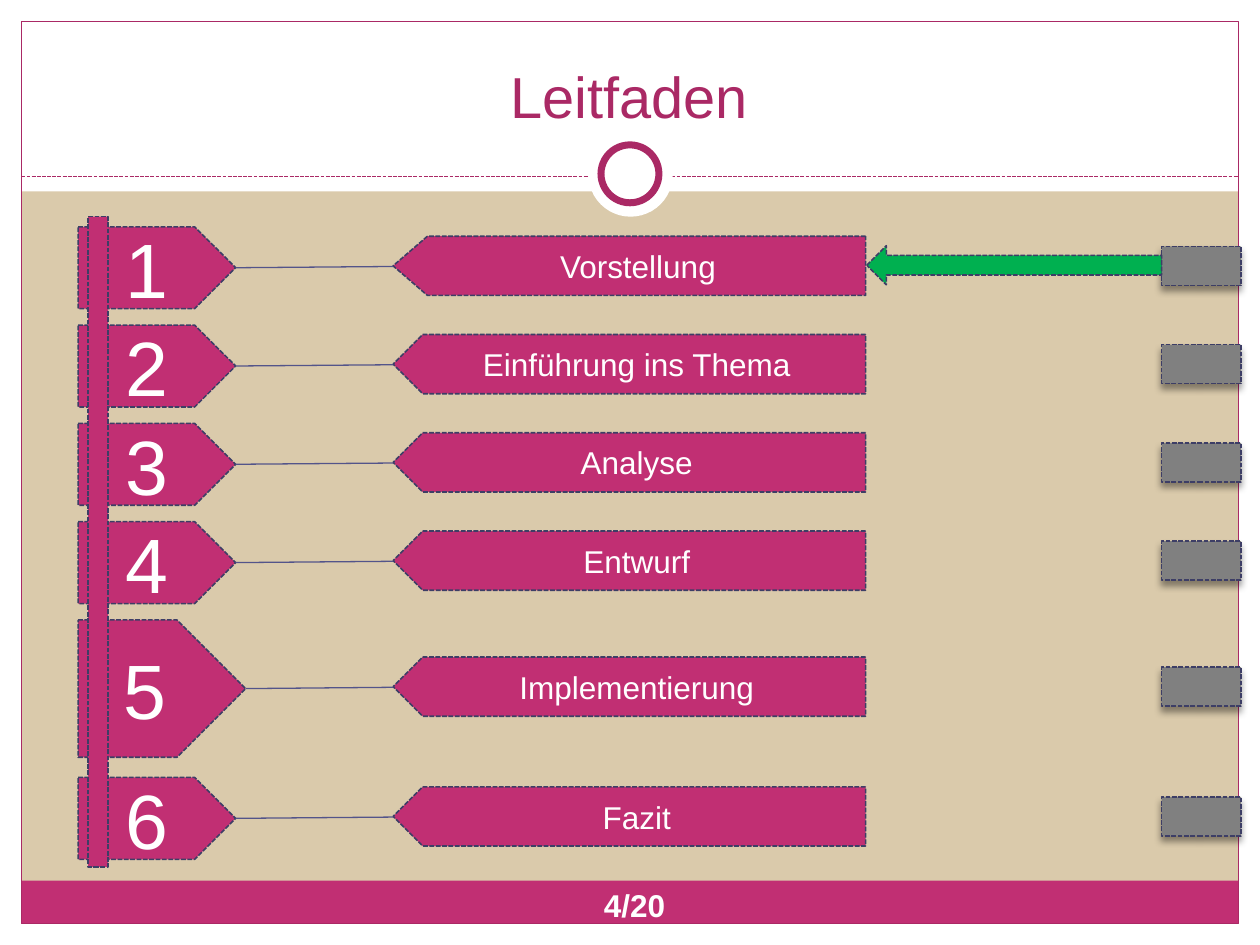
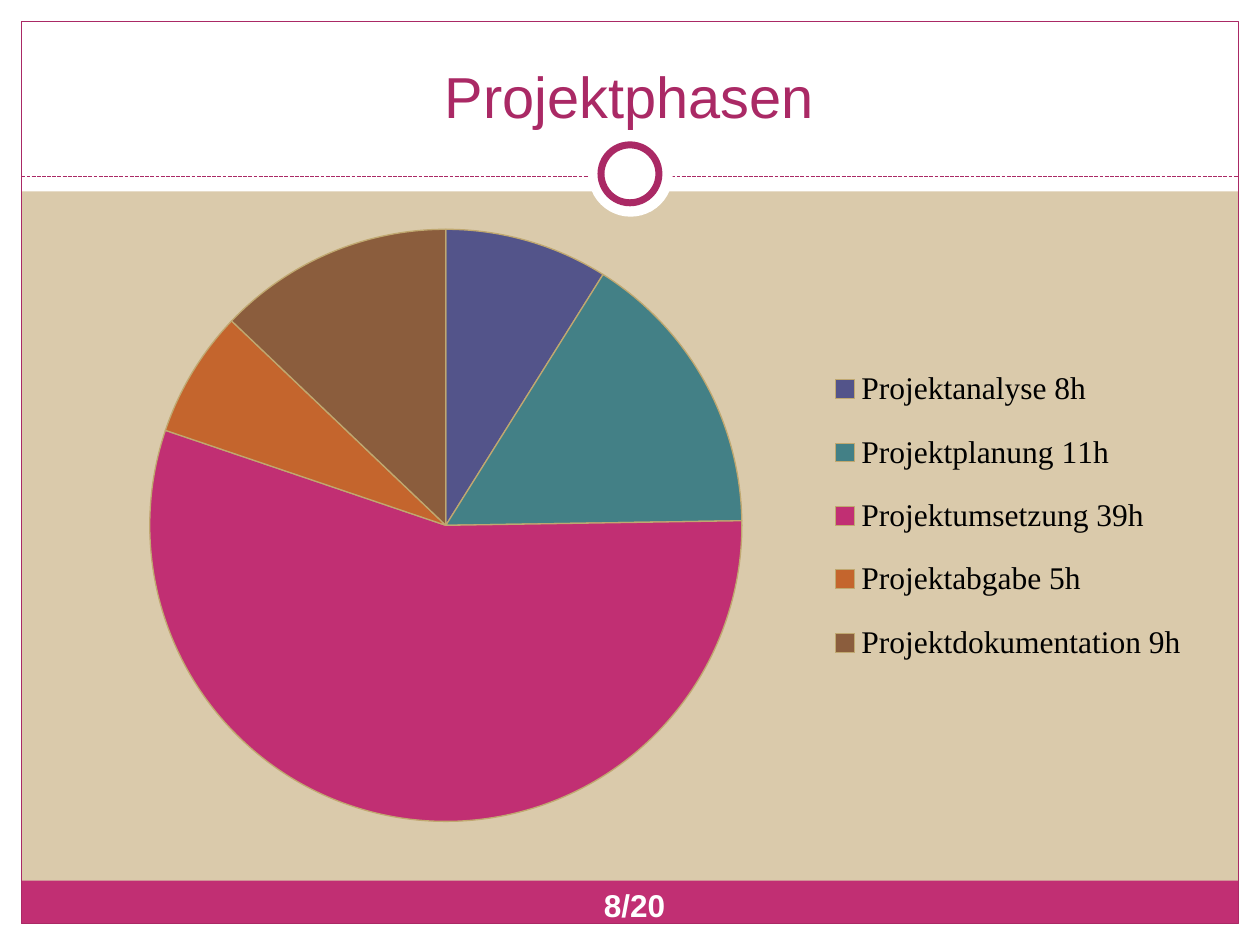
from dataclasses import dataclass

from lxml.etree import SubElement
from pptx import Presentation
from pptx.chart.data import CategoryChartData
from pptx.dml.color import RGBColor
from pptx.enum.chart import XL_CHART_TYPE, XL_LEGEND_POSITION
from pptx.enum.dml import MSO_LINE
from pptx.enum.shapes import MSO_CONNECTOR, MSO_SHAPE
from pptx.enum.text import MSO_ANCHOR, MSO_AUTO_SIZE, PP_ALIGN
from pptx.oxml import parse_xml
from pptx.oxml.ns import nsdecls, qn
from pptx.util import Inches, Pt


@dataclass(frozen=True)
class Theme:
    """Colours, fonts and type sizes of the deck."""
    sand: str = "DACAAB"
    white: str = "FFFFFF"
    pink: str = "C12F73"
    wine: str = "AA2965"
    navy: str = "3D3E66"
    blue: str = "53548A"
    green: str = "00B050"
    grey: str = "808080"
    black: str = "000000"
    rim: str = "C0A870"
    pie: tuple = ("53548A", "438086", "C12F73", "C4652D", "8B5D3D")
    sans: str = "Arial"
    serif: str = "Times New Roman"
    head: int = 33
    big: int = 44
    body: int = 18


THEME = Theme()
TOPICS = [
    ("Vorstellung", 1.8, 1.25, 0.65),
    ("Einführung ins Thema", 2.58, 1.25, 0.65),
    ("Analyse", 3.36, 1.25, 0.65),
    ("Entwurf", 4.14, 1.25, 0.65),
    ("Implementierung", 4.92, 1.33, 1.09),
    ("Fazit", 6.17, 1.25, 0.65),
]
PHASES = [
    ("Projektanalyse 8h", 9),
    ("Projektplanung 11h", 16),
    ("Projektumsetzung 39h", 56),
    ("Projektabgabe 5h", 7),
    ("Projektdokumentation 9h", 13),
]


def rgb(code):
    """Turn a hex code into a colour."""
    return RGBColor.from_string(code)


def inches(box):
    """Turn a box of numbers into lengths."""
    return [Inches(part) for part in box]


def set_line(line, color, width, dash=False):
    """Format an outline or a rule."""
    line.color.rgb = rgb(color)
    line.width = Pt(width)
    if dash:
        line.dash_style = MSO_LINE.SQUARE_DOT


def set_text(shape, text, size, color, bold=False):
    """Write one centred line of text."""
    frame = shape.text_frame
    frame.text = text
    line = frame.paragraphs[0]
    line.alignment = PP_ALIGN.CENTER
    font = line.runs[0].font
    font.name, font.size, font.bold = THEME.sans, Pt(size), bold
    font.color.rgb = rgb(color)
    return frame


def add_form(slide, kind, box, fill=None):
    """Add a plain preset shape without an outline."""
    form = slide.shapes.add_shape(kind, *inches(box))
    form.shadow.inherit = False
    form.line.fill.background()
    if fill:
        form.fill.solid()
        form.fill.fore_color.rgb = rgb(fill)
    else:
        form.fill.background()
    return form


def add_block(slide, kind, box, fill=THEME.pink):
    """Add a filled shape with the dashed outline."""
    block = add_form(slide, kind, box, fill)
    set_line(block.line, THEME.navy, 0.9, True)
    return block


def add_rule(slide, start, end, color, dash=False):
    """Add a thin straight line."""
    rule = slide.shapes.add_connector(MSO_CONNECTOR.STRAIGHT, *inches(start + end))
    set_line(rule.line, color, 0.75, dash)
    SubElement(rule.element.spPr, qn("a:effectLst"))


def add_plate(slide, box, text, size, flip=False):
    """Add a pointed label, which points left when flipped."""
    plate = add_block(slide, MSO_SHAPE.PENTAGON, box)
    if flip:
        plate.element.spPr.xfrm.set("flipH", "1")
    frame = set_text(plate, text, size, THEME.white)
    frame.vertical_anchor = MSO_ANCHOR.MIDDLE
    return plate


def add_tab(slide, box):
    """Add a grey tab with a soft shadow."""
    tab = add_block(slide, MSO_SHAPE.RECTANGLE, box, THEME.grey)
    glow = parse_xml(
        f'<a:outerShdw {nsdecls("a")} blurRad="{Pt(4)}" dist="{Pt(3)}" '
        f'dir="5400000" rotWithShape="0"><a:srgbClr val="{THEME.black}">'
        '<a:alpha val="40000"/></a:srgbClr></a:outerShdw>')
    tab.element.spPr.find(qn("a:effectLst")).append(glow)


def add_frame(slide):
    """Draw the margins, foot band, border and ring."""
    for box in ((0, 7.33, 10, 0.17), (0, 0, 10, 1.52),
                (0, 0, 0.17, 7.5), (9.83, 0, 0.17, 7.5)):
        add_form(slide, MSO_SHAPE.RECTANGLE, box, THEME.white)
    add_form(slide, MSO_SHAPE.RECTANGLE, (0.17, 6.99, 9.66, 0.34), THEME.pink)
    edge = add_form(slide, MSO_SHAPE.RECTANGLE, (0.17, 0.17, 9.66, 7.16))
    set_line(edge.line, THEME.wine, 0.75)
    add_rule(slide, (0.17, 1.4), (9.83, 1.4), THEME.wine, True)
    add_form(slide, MSO_SHAPE.OVAL, (4.67, 1.05, 0.67, 0.67), THEME.white)
    ring = add_form(slide, MSO_SHAPE.OVAL, (4.77, 1.15, 0.46, 0.46), THEME.white)
    set_line(ring.line, THEME.wine, 4)


def add_title(slide, text):
    """Place the title above the frame."""
    title = slide.shapes.title
    title.left, title.top, title.width, title.height = inches((0.33, 0.25, 9.33, 0.83))
    frame = set_text(title, text, THEME.head, THEME.wine)
    frame.auto_size = MSO_AUTO_SIZE.NONE
    frame.vertical_anchor = MSO_ANCHOR.BOTTOM
    slide.shapes.element.append(title.element)


def add_page(slide, text):
    """Write the page count on the foot band."""
    page = slide.shapes.add_textbox(*inches((4.69, 6.98, 0.69, 0.4)))
    frame = set_text(page, text, THEME.body, THEME.white, True)
    frame.word_wrap = False


def new_slide(deck, title, page):
    """Start a slide with all shared parts."""
    slide = deck.slides.add_slide(deck.slide_layouts[5])
    slide.background.fill.solid()
    slide.background.fill.fore_color.rgb = rgb(THEME.sand)
    add_frame(slide)
    add_title(slide, title)
    add_page(slide, page)
    return slide


def add_topic(slide, box, rank, name):
    """Draw one row: number, link, label and tab."""
    left, top, width, height = box
    mid = top + height / 2
    add_plate(slide, box, str(rank), THEME.big)
    label = add_plate(slide, (left + 2.5, mid - 0.25, 3.75, 0.47), name, THEME.body, True)
    if rank == 1:
        label.adjustments[0] = 0.58
    add_rule(slide, (left + width, mid), (left + 2.5, mid - 0.01), THEME.blue)
    add_tab(slide, (left + 8.6, mid - 0.17, 0.63, 0.31))


def add_guide(slide, left, top):
    """Draw the list of topics, its spine and the marker."""
    for rank, (name, row, width, height) in enumerate(TOPICS, 1):
        add_topic(slide, (left, row, width, height), rank, name)
    add_block(slide, MSO_SHAPE.RECTANGLE, (left + 0.08, top, 0.16, 5.16))
    add_block(slide, MSO_SHAPE.LEFT_ARROW, (left + 6.26, top + 0.23, 2.34, 0.31), THEME.green)


def set_layout(part, inner, box):
    """Fix a chart part at fractions of the chart area."""
    old = part.find(qn("c:layout"))
    if old is not None:
        part.remove(old)
    layout = parse_xml(f'<c:layout {nsdecls("c")}><c:manualLayout/></c:layout>')
    if inner:
        SubElement(layout[0], qn("c:layoutTarget")).set("val", "inner")
    for name in ("xMode", "yMode"):
        SubElement(layout[0], qn(f"c:{name}")).set("val", "edge")
    for name, size in zip("xywh", box):
        SubElement(layout[0], qn(f"c:{name}")).set("val", str(size))
    part.insert(0 if inner else 1, layout)


def add_pie(slide, box):
    """Add the pie of phases with its legend."""
    data = CategoryChartData()
    data.categories = [name for name, _ in PHASES]
    data.add_series("Series 1", [share for _, share in PHASES])
    chart = slide.shapes.add_chart(XL_CHART_TYPE.PIE, *inches(box), data).chart
    chart.has_title = False
    chart.font.name, chart.font.size = THEME.serif, Pt(THEME.body)
    chart.font.color.rgb = rgb(THEME.black)
    chart.has_legend = True
    chart.legend.position = XL_LEGEND_POSITION.RIGHT
    chart.legend.include_in_layout = False
    plot = chart.plots[0]
    plot.vary_by_categories = True
    for rank, color in enumerate(THEME.pie):
        look = plot.series[0].points[rank].format
        look.fill.solid()
        look.fill.fore_color.rgb = rgb(color)
        set_line(look.line, THEME.rim, 0.75)
    area = chart.element.chart
    set_layout(area.plotArea, True, (0.09, 0.03, 0.51, 0.94))
    set_layout(area.find(qn("c:legend")), False, (0.66, 0.21, 0.33, 0.55))


def main():
    """Build and save the deck."""
    deck = Presentation()
    deck.slide_width, deck.slide_height = Inches(10), Inches(7.5)
    add_guide(new_slide(deck, "Leitfaden", "4/20"), 0.62, 1.72)
    add_pie(new_slide(deck, "Projektphasen", "8/20"), (0.33, 1.67, 9.3, 5))
    deck.save("out.pptx")


if __name__ == "__main__":
    main()
